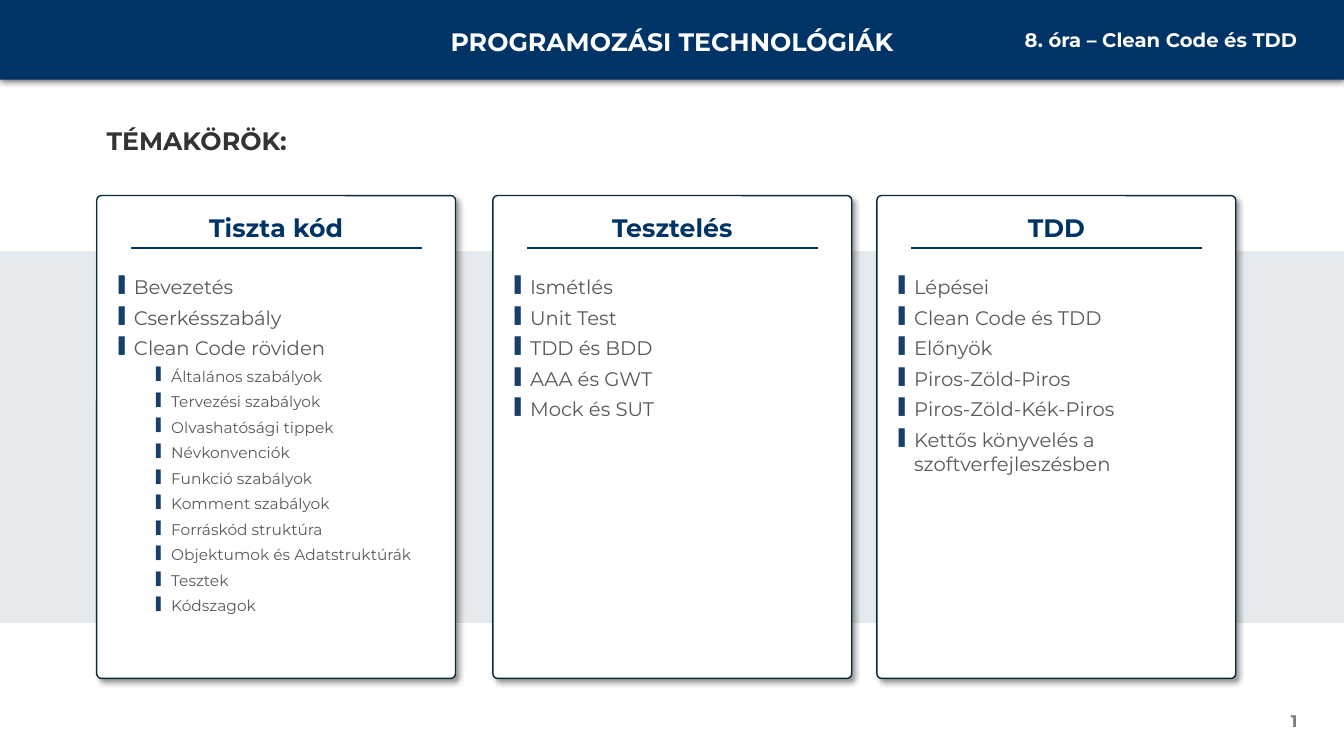
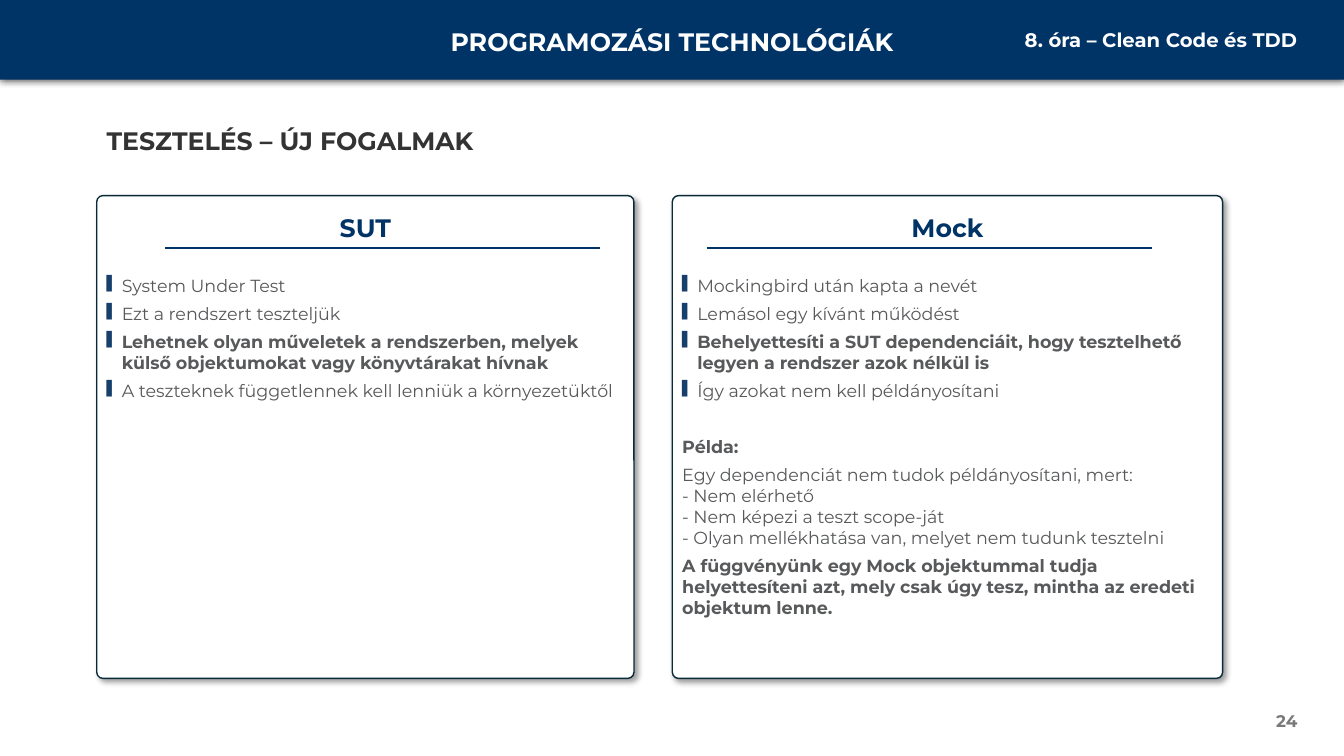
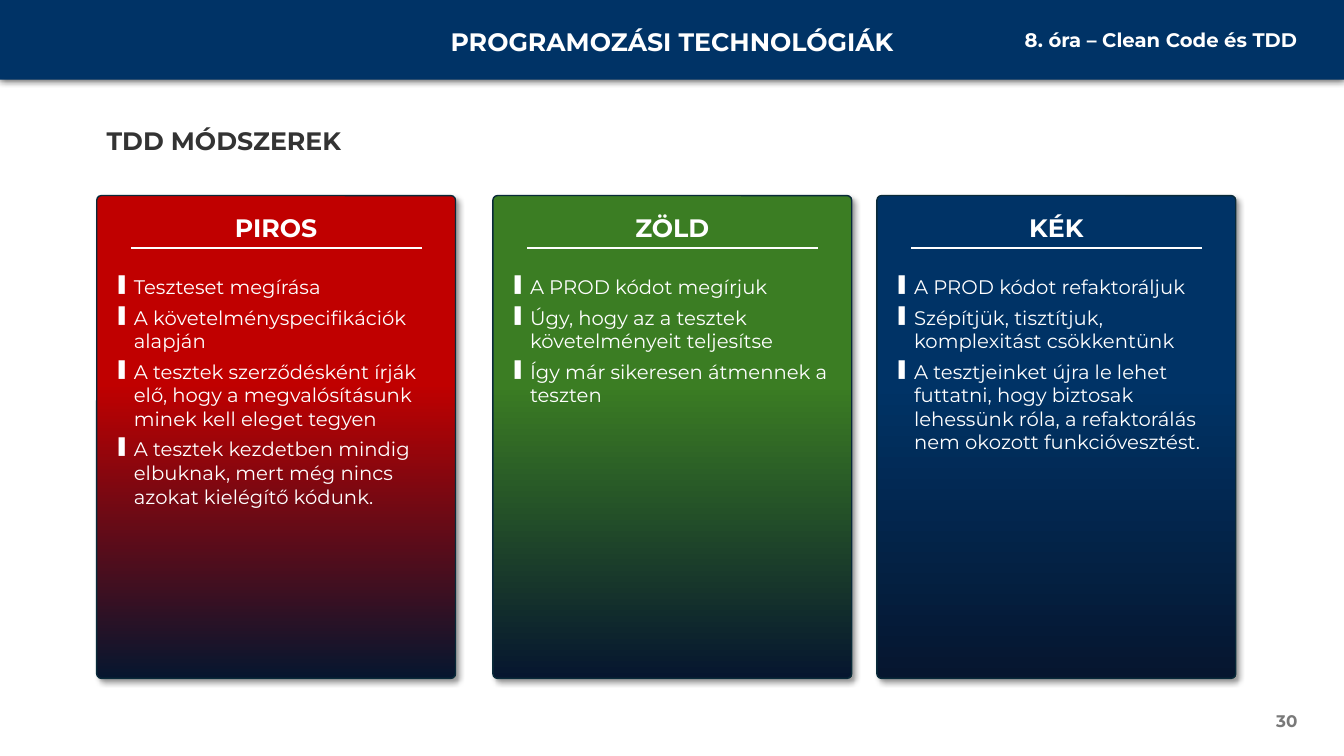
from copy import deepcopy
from dataclasses import dataclass

from lxml import etree
from pptx import Presentation
from pptx.dml.color import RGBColor
from pptx.enum.shapes import MSO_CONNECTOR, MSO_SHAPE
from pptx.enum.text import MSO_ANCHOR, PP_ALIGN
from pptx.oxml.ns import qn
from pptx.util import Inches, Pt

RECT, ROUNDED = MSO_SHAPE.RECTANGLE, MSO_SHAPE.ROUNDED_RECTANGLE
STRAIGHT = MSO_CONNECTOR.STRAIGHT
LEFT, CENTER, RIGHT = PP_ALIGN.LEFT, PP_ALIGN.CENTER, PP_ALIGN.RIGHT
TOP, MIDDLE = MSO_ANCHOR.TOP, MSO_ANCHOR.MIDDLE

COLUMNS, ROWS = 160, 90
CELL = Inches(7.5) / ROWS
FONT = "Montserrat"
NAVY, WHITE, NIGHT = "003366", "FFFFFF", "06162F"
HEADING, BODY, MARKER, BORDER, MUTED = "333333", "58595B", "173F6C", "092A39", "797979"
COURSE, LESSON = "PROGRAMOZÁSI TECHNOLÓGIÁK", "8. óra – Clean Code és TDD"
MARGIN_LEFT, MARGIN_RIGHT, LINE_ROWS = 11.52, 155.64, 4.8
CARD_TOP, CARD_ROWS, CORNER_PERCENT = 23.28, 57.48, 1.3
BODY_TOP, BODY_ROWS, RULE_TOP, RULE_SHARE = 8.88, 44.28, 6.24, 0.81
THREE_CARDS = [(11.52, 42.72), (58.68, 42.72), (104.4, 42.72)]
TWO_CARDS = [(11.52, 63.96), (80.04, 65.52)]
SUB_SIZE, SPACE_BEFORE, SPACE_AFTER = 11, 3, 2
HANGING, LEVEL_INDENTS = Inches(0.15), (Inches(0.15), Inches(0.52))


@dataclass
class Item:
    """One paragraph of a card."""
    text: str
    level: int = 0
    bold: bool = False
    bulleted: bool = True
    before: float = SPACE_BEFORE


@dataclass
class Card:
    """Content and look of one card."""
    title: str
    items: list
    size: float = 14
    inset: float = 1.44
    rule_left: float = 4.08
    accent: str = ""


def rgb(color):
    """Turn a hex string into a colour."""
    return RGBColor.from_string(color)


def cells(*counts):
    """Turn grid counts into lengths."""
    return [round(count * CELL) for count in counts]


def add_xml(parent, tag, **attributes):
    """Append a drawing element to a parent."""
    return etree.SubElement(parent, qn(tag), {key: str(value) for key, value in attributes.items()})


def add_panel(slide, box, kind, color):
    """Add a plain filled shape without line or shadow."""
    panel = slide.shapes.add_shape(kind, *cells(*box))
    panel.shadow.inherit = False
    panel.fill.solid()
    panel.fill.fore_color.rgb = rgb(color)
    panel.line.fill.background()
    return panel


def cast_shadow(panel, opacity, blur, distance, angle):
    """Give a panel a black outer shadow."""
    effects = panel._element.spPr.find(qn("a:effectLst"))
    shadow = add_xml(effects, "a:outerShdw", blurRad=Pt(blur), dist=Pt(distance),
                     dir=angle * 60000, algn="tl", rotWithShape=0)
    add_xml(add_xml(shadow, "a:srgbClr", val="000000"), "a:alpha", val=opacity * 1000)


def add_frame(slide, box, anchor=TOP):
    """Add a wrapping text box and return its frame."""
    frame = slide.shapes.add_textbox(*cells(*box)).text_frame
    frame.word_wrap = True
    frame.vertical_anchor = anchor
    return frame


def add_runs(paragraph, text, size, color, bold):
    """Write styled runs with a line break between lines."""
    for number, line in enumerate(text.split("\n")):
        if number:
            paragraph.add_line_break()
        run = paragraph.add_run()
        run.text = line
        run.font.name, run.font.size, run.font.bold = FONT, Pt(size), bold
        run.font.color.rgb = rgb(color)
    for line_break in paragraph._p.findall(qn("a:br")):
        line_break.append(deepcopy(run._r.find(qn("a:rPr"))))


def add_label(slide, box, text, size, color, align=LEFT, anchor=TOP):
    """Add one bold line of text."""
    paragraph = add_frame(slide, box, anchor).paragraphs[0]
    paragraph.alignment = align
    add_runs(paragraph, text, size, color, True)


def add_bullet(paragraph, level, color):
    """Give a paragraph a hanging bar bullet."""
    properties = paragraph._p.get_or_add_pPr()
    properties.set("marL", str(LEVEL_INDENTS[level]))
    properties.set("indent", str(-HANGING))
    add_xml(add_xml(properties, "a:buClr"), "a:srgbClr", val=color)
    add_xml(properties, "a:buSzPct", val=80000)
    add_xml(properties, "a:buChar", char="▌")


def add_items(slide, box, card, color, marker):
    """Write the paragraphs of a card."""
    frame = add_frame(slide, box)
    for number, item in enumerate(card.items):
        paragraph = frame.add_paragraph() if number else frame.paragraphs[0]
        paragraph.level = item.level
        if item.bulleted:
            add_bullet(paragraph, item.level, marker)
        if number:
            paragraph.space_before = Pt(item.before)
        paragraph.space_after = Pt(SPACE_AFTER)
        add_runs(paragraph, item.text, SUB_SIZE if item.level else card.size, color, item.bold)


def add_rule(slide, left, top, width, color):
    """Draw a horizontal rule."""
    rule = slide.shapes.add_connector(STRAIGHT, *cells(left, top, left + width, top))
    rule.line.color.rgb = rgb(color)
    rule.line.width = Pt(1.5)
    add_xml(rule._element.spPr, "a:effectLst")


def add_card(slide, box, card):
    """Build a card with title, rule and items in its box."""
    left, top, width, height = box
    panel = add_panel(slide, box, ROUNDED, WHITE)
    panel.adjustments[0] = CORNER_PERCENT / 100
    panel.line.color.rgb = rgb(BORDER)
    panel.line.width = Pt(1)
    cast_shadow(panel, 40, 4, 3, 45)
    title_color, text_color, marker = NAVY, BODY, MARKER
    if card.accent:
        title_color = text_color = marker = WHITE
        panel.fill.gradient()
        panel.fill.gradient_angle = 270
        for stop, position, color in zip(panel.fill.gradient_stops, (0.39, 1), (card.accent, NIGHT)):
            stop.position = position
            stop.color.rgb = rgb(color)
    add_label(slide, (left, top + 1.44, width, LINE_ROWS), card.title, 18, title_color, CENTER)
    add_rule(slide, left + card.rule_left, top + RULE_TOP, width * RULE_SHARE, title_color)
    body = (left + card.inset, top + BODY_TOP, width - 2 * card.inset, BODY_ROWS)
    add_items(slide, body, card, text_color, marker)


def add_backdrop(slide):
    """Add the pale strip behind the cards."""
    strip = add_panel(slide, (0, 29.88, COLUMNS, 44.28), RECT, NAVY)
    tint = strip._element.spPr.find(qn("a:solidFill")).find(qn("a:srgbClr"))
    add_xml(tint, "a:alpha", val=10000)


def add_header(slide):
    """Add the top band with course and lesson names."""
    band = add_panel(slide, (0, 0, COLUMNS, 9.48), RECT, NAVY)
    cast_shadow(band, 80, 6, 0, 90)
    add_label(slide, (COLUMNS / 2 - 31.32, 2.52, 62.64, LINE_ROWS), COURSE, 18, WHITE, CENTER)
    add_label(slide, (MARGIN_RIGHT - 40.56, 2.76, 40.56, 4.08), LESSON, 14, WHITE, RIGHT)


def add_card_slide(deck, heading, number, places, cards, backdrop=False):
    """Add a slide with a heading and a row of cards."""
    slide = deck.slides.add_slide(deck.slide_layouts[6])
    if backdrop:
        add_backdrop(slide)
    add_header(slide)
    add_label(slide, (MARGIN_LEFT, 14.28, 99.84, LINE_ROWS), heading, 18, HEADING)
    for (left, width), card in zip(places, cards):
        add_card(slide, (left, CARD_TOP, width, CARD_ROWS), card)
    add_label(slide, (MARGIN_RIGHT - 36, 83.4, 36, LINE_ROWS), str(number), 12, MUTED, RIGHT, MIDDLE)


def bullets(*texts, level=0):
    """Make plain bulleted items."""
    return [Item(text, level) for text in texts]


TOPICS = [
    Card("Tiszta kód", bullets("Bevezetés", "Cserkésszabály", "Clean Code röviden") + bullets(
        "Általános szabályok", "Tervezési szabályok", "Olvashatósági tippek", "Névkonvenciók",
        "Funkció szabályok", "Komment szabályok", "Forráskód struktúra",
        "Objektumok és Adatstruktúrák", "Tesztek", "Kódszagok", level=1)),
    Card("Tesztelés", bullets("Ismétlés", "Unit Test", "TDD és BDD", "AAA és GWT", "Mock és SUT")),
    Card("TDD", bullets("Lépései", "Clean Code és TDD", "Előnyök", "Piros-Zöld-Piros",
                        "Piros-Zöld-Kék-Piros", "Kettős könyvelés a szoftverfejleszésben")),
]

CONCEPTS = [
    Card("SUT", [
        Item("System Under Test"),
        Item("Ezt a rendszert teszteljük"),
        Item("Lehetnek olyan műveletek a rendszerben, melyek külső objektumokat vagy "
             "könyvtárakat hívnak", bold=True),
        Item("A teszteknek függetlennek kell lenniük a környezetüktől"),
    ], size=12.5, inset=0, rule_left=8.16),
    Card("Mock", [
        Item("Mockingbird után kapta a nevét"),
        Item("Lemásol egy kívánt működést"),
        Item("Behelyettesíti a SUT dependenciáit, hogy tesztelhető legyen a rendszer azok "
             "nélkül is", bold=True),
        Item("Így azokat nem kell példányosítani"),
        Item("Példa:", bold=True, bulleted=False, before=23.2),
        Item("Egy dependenciát nem tudok példányosítani, mert:\n- Nem elérhető\n"
             "- Nem képezi a teszt scope-ját\n"
             "- Olyan mellékhatása van, melyet nem tudunk tesztelni", bulleted=False),
        Item("A függvényünk egy Mock objektummal tudja helyettesíteni azt, mely csak úgy tesz, "
             "mintha az eredeti objektum lenne.", bold=True, bulleted=False),
    ], size=12.5, inset=0),
]

METHODS = [
    Card("PIROS", bullets(
        "Teszteset megírása",
        "A követelményspecifikációk alapján",
        "A tesztek szerződésként írják elő, hogy a megvalósításunk minek kell eleget tegyen",
        "A tesztek kezdetben mindig elbuknak, mert még nincs azokat kielégítő kódunk."),
        accent="C00000"),
    Card("ZÖLD", bullets(
        "A PROD kódot megírjuk",
        "Úgy, hogy az a tesztek követelményeit teljesítse",
        "Így már sikeresen átmennek a teszten"),
        accent="3B7D23"),
    Card("KÉK", bullets(
        "A PROD kódot refaktoráljuk",
        "Szépítjük, tisztítjuk, komplexitást csökkentünk",
        "A tesztjeinket újra le lehet futtatni, hogy biztosak lehessünk róla, a refaktorálás "
        "nem okozott funkcióvesztést."),
        accent=NAVY),
]


def main():
    """Build and save the deck."""
    deck = Presentation()
    deck.slide_width, deck.slide_height = cells(COLUMNS, ROWS)
    add_card_slide(deck, "TÉMAKÖRÖK:", 1, THREE_CARDS, TOPICS, backdrop=True)
    add_card_slide(deck, "TESZTELÉS – ÚJ FOGALMAK", 24, TWO_CARDS, CONCEPTS)
    add_card_slide(deck, "TDD MÓDSZEREK", 30, THREE_CARDS, METHODS)
    deck.save("out.pptx")


if __name__ == "__main__":
    main()
